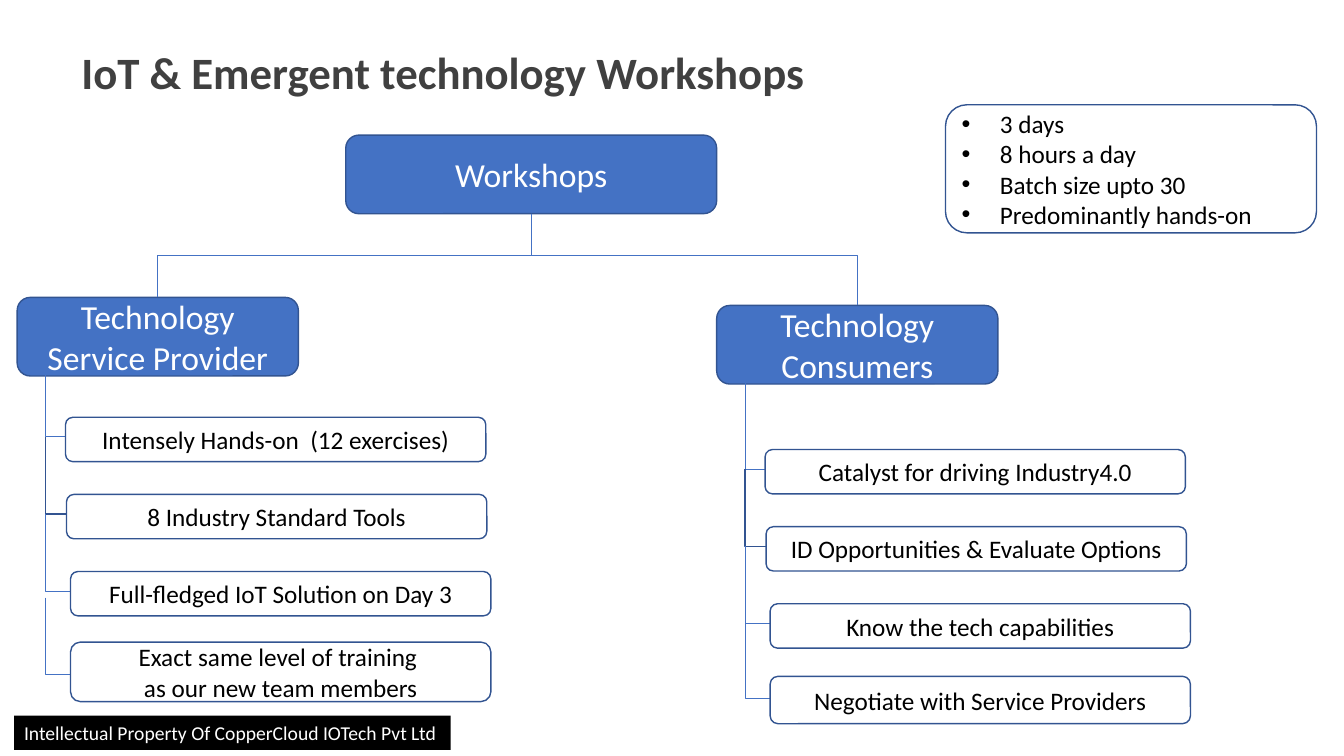
"""Build the slide that shows the workshop tree for providers and consumers."""
from lxml.etree import SubElement
from pptx import Presentation
from pptx.dml.color import RGBColor
from pptx.enum.shapes import MSO_CONNECTOR as CONN, MSO_SHAPE as SHAPE
from pptx.enum.text import MSO_ANCHOR as ANCHOR, PP_ALIGN as ALIGN
from pptx.oxml.ns import qn
from pptx.util import Inches, Pt

COLORS = {"fill": "4472C4", "edge": "325491", "title": "404040",
          "black": "000000", "white": "FFFFFF"}
FONT = "Calibri"
CELL = Inches(0.1)
COLS, ROWS = 133.33, 75
PITCH = 7.65
LEAF_W, LEAF_H = 41.7, 4.4
STUB_W, STUB_H = 3.95, 7.8


def grid(*cells):
    return [round(n * CELL) for n in cells]


def rgb(name):
    return RGBColor.from_string(COLORS[name])


def add_bullet(p):
    pPr = p._p.get_or_add_pPr()
    pPr.set("marL", str(Inches(0.38)))
    pPr.set("indent", str(-Inches(0.38)))
    SubElement(pPr, qn("a:buFont"), typeface="Arial")
    SubElement(pPr, qn("a:buChar"), char="•")


def write(tf, lines, size, color, align=ALIGN.LEFT, bold=False, bullets=False):
    for i, line in enumerate(lines):
        p = tf.paragraphs[0] if i == 0 else tf.add_paragraph()
        if bullets:
            add_bullet(p)
        p.alignment = align
        r = p.add_run()
        r.text = line
        r.font.name, r.font.size, r.font.bold = FONT, Pt(size), bold
        r.font.color.rgb = rgb(color)


def box(s, at, lines, size=18, fill="white", color="black", align=ALIGN.CENTER,
        bullets=False):
    sp = s.shapes.add_shape(SHAPE.ROUNDED_RECTANGLE, *grid(*at))
    sp.shadow.inherit = False
    sp.fill.solid()
    sp.fill.fore_color.rgb = rgb(fill)
    sp.line.color.rgb = rgb("edge")
    sp.line.width = Pt(1)
    tf = sp.text_frame
    tf.word_wrap, tf.vertical_anchor = True, ANCHOR.MIDDLE
    write(tf, lines, size, color, align, bullets=bullets)


def node(s, at, text):
    box(s, at, [text], 24, "fill", "white")


def elbow(s, x, y, dx, dy, bend, color="fill", width=0.5):
    mid_x, mid_y = x + dx / 2, y + dy / 2
    half_w, half_h = dy / 2, abs(dx) / 2
    line = s.shapes.add_connector(CONN.ELBOW, *grid(
        mid_x - half_w, mid_y - half_h, mid_x + half_w, mid_y + half_h))
    line.line.color.rgb = rgb(color)
    line.line.width = Pt(width)
    spPr = line._element.spPr
    SubElement(spPr, qn("a:effectLst"))
    xfrm = spPr.find(qn("a:xfrm"))
    xfrm.set("rot", str((90 if dx < 0 else 270) * 60000))
    if dx > 0:
        xfrm.set("flipH", "1")
    geom = spPr.find(qn("a:prstGeom"))
    guides = geom.find(qn("a:avLst"))
    if guides is None:
        guides = SubElement(geom, qn("a:avLst"))
    SubElement(guides, qn("a:gd"), name="adj1", fmla=f"val {round(bend * 100000)}")


def branch(s, trunk, top, leaves, last):
    rows = [(top + i * PITCH, LEAF_H, top + i * PITCH + 2.1)
            for i in range(len(leaves) - 1)] + [last]
    indents = (2, 2.1, 2.5, 2.5)
    for i, (lines, indent, (row, height, end)) in enumerate(zip(leaves, indents, rows)):
        w, h = (STUB_W, STUB_H) if i else (STUB_W - 0.9, STUB_H + 1)
        style = ("edge", 1) if i == 1 else ("fill", 0.5)
        elbow(s, trunk, end - h, w, h, 0.98, *style)
        box(s, (trunk + indent, row, LEAF_W, height), lines)


def title(s, text):
    sp = s.shapes.add_textbox(*grid(7.1, 2.9, 115, 9.1))
    tf = sp.text_frame
    tf.word_wrap, tf.vertical_anchor = True, ANCHOR.MIDDLE
    write(tf, [text], 32, "title", bold=True)
    p = tf.paragraphs[0]
    p.line_spacing = 0.9
    rPr = p.runs[0].font._element
    effects = SubElement(rPr, qn("a:effectLst"))
    rPr.find(qn("a:solidFill")).addnext(effects)
    shadow = SubElement(effects, qn("a:outerShdw"), blurRad="38100",
                        dist="38100", dir="2700000", algn="tl")
    tint = SubElement(shadow, qn("a:srgbClr"), val=COLORS["black"])
    SubElement(tint, qn("a:alpha"), val="43000")


def footer(s, text):
    sp = s.shapes.add_shape(SHAPE.RECTANGLE, *grid(1.4, 71, 43.3, 3.4))
    sp.shadow.inherit = False
    sp.fill.solid()
    sp.fill.fore_color.rgb = rgb("black")
    sp.line.fill.background()
    tf = sp.text_frame
    tf.word_wrap, tf.vertical_anchor = False, ANCHOR.TOP
    write(tf, [text], 14, "white")


def main():
    prs = Presentation()
    prs.slide_width, prs.slide_height = grid(COLS, ROWS)
    s = prs.slides.add_slide(prs.slide_layouts[6])
    title(s, "IoT & Emergent technology Workshops")
    footer(s, "Intellectual Property Of CopperCloud IOTech Pvt Ltd")
    node(s, (1.7, 29.5, 27.9, 7.8), "Technology Service Provider")
    box(s, (93.8, 10.4, 36.8, 12.7),
        ["3 days", "8 hours a day", "Batch size upto 30", "Predominantly hands-on"],
        align=ALIGN.LEFT, bullets=True)
    node(s, (71.1, 30.3, 27.9, 7.8), "Technology Consumers")
    node(s, (34.3, 13.4, 36.8, 7.8), "Workshops")
    elbow(s, 52.7, 21.2, -37.1, 8.3, 0.5)
    elbow(s, 52.7, 21.2, 32.4, 9.1, 0.45)
    branch(s, 4.5, 41.4, [
        ["Intensely Hands-on  (12 exercises)"],
        ["8 Industry Standard Tools"],
        ["Full-fledged IoT Solution on Day 3"],
        ["Exact same level of training ", "as our new team members"],
    ], last=(63.7, 5.9, 67.1))
    branch(s, 73.9, 44.6, [
        ["Catalyst for driving Industry4.0"],
        ["ID Opportunities & Evaluate Options"],
        ["Know the tech capabilities"],
        ["Negotiate with Service Providers"],
    ], last=(67.1, 4.7, 69.4))
    prs.save("out.pptx")


if __name__ == "__main__":
    main()
